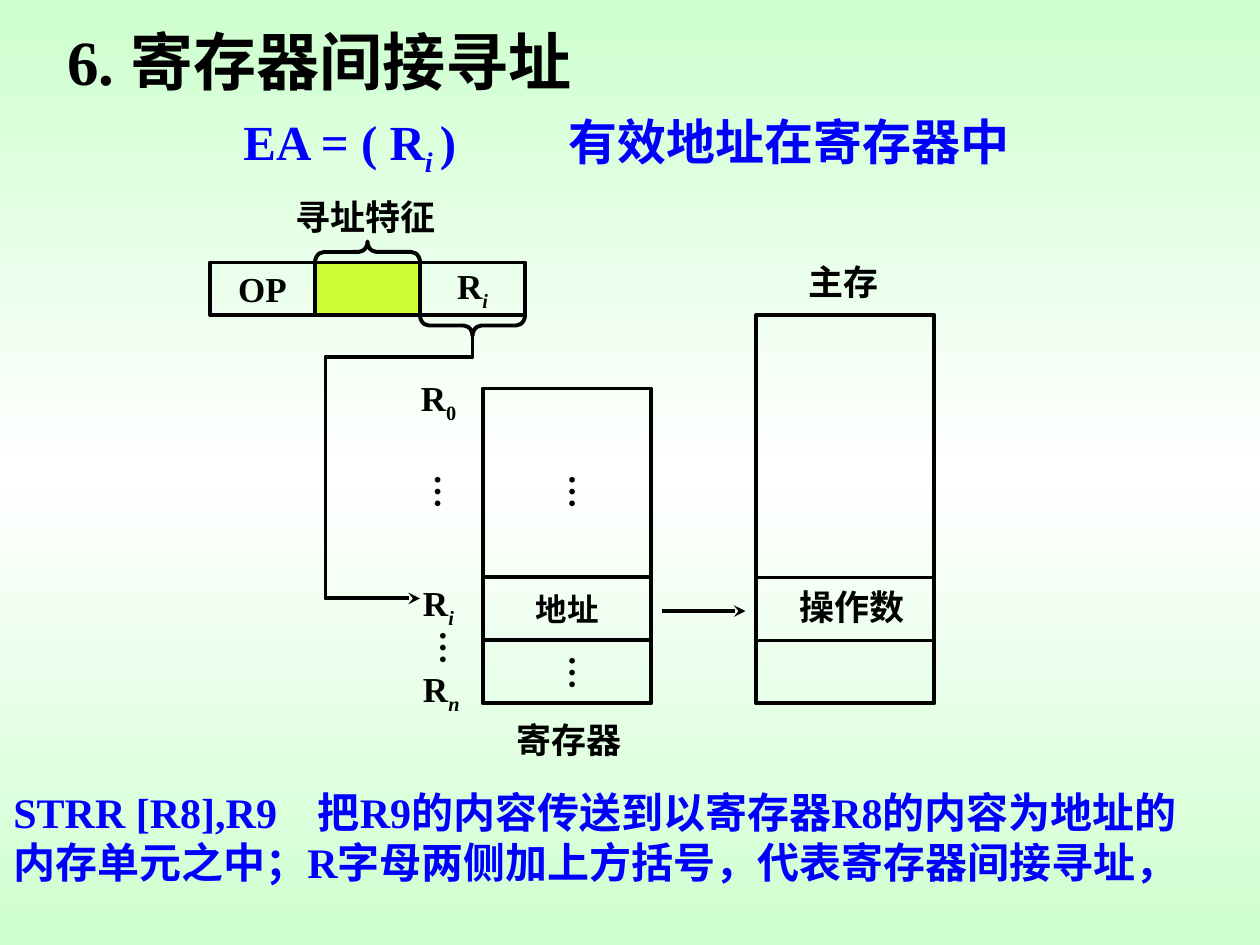
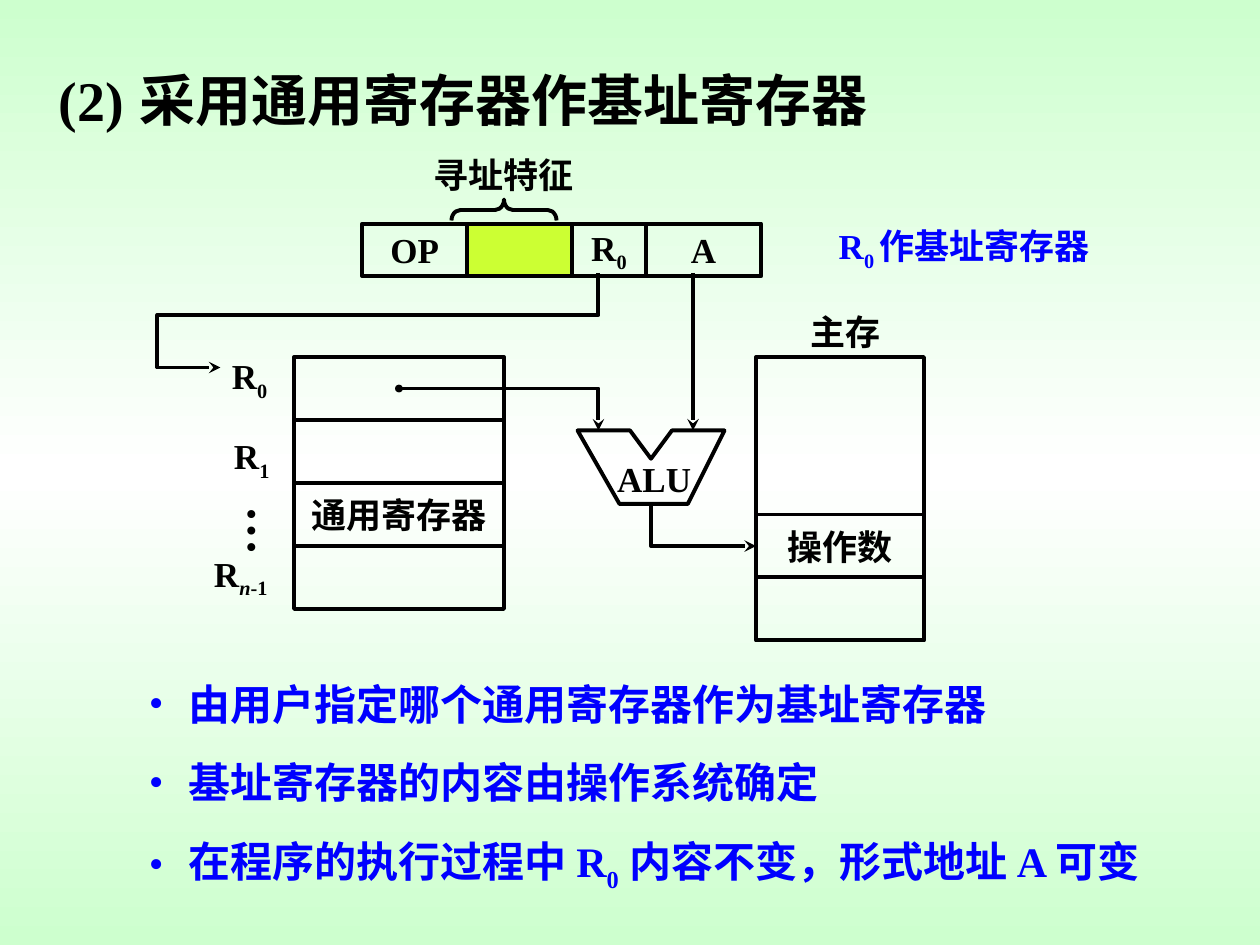
from copy import deepcopy
from dataclasses import dataclass
from typing import NamedTuple, Optional, Sequence, Union

from lxml import etree
from pptx import Presentation
from pptx import util as u
from pptx.dml.color import RGBColor
from pptx.enum import shapes, text
from pptx.oxml.ns import qn

PX = u.Inches(1) // 120  # one px is 1/120 inch
SLIDE_SIZE = (1200, 900)


# Theme
@dataclass(frozen=True)
class Theme:
    font: str = "Times New Roman"
    ink: str = "000000"
    accent: str = "0000FF"
    mark: str = "CCFF33"
    edge: str = "CDFFCE"
    middle: str = "FFFFFF"
    title: int = 36
    subtitle: int = 32
    formula: int = 28
    body: int = 24
    label: int = 20
    small: int = 18
    line: float = 2.25


THEME = Theme()


# Content types
class Run(NamedTuple):
    text: str
    sub: bool = False
    italic: bool = False
    size: Optional[int] = None


Line = Sequence[Union[str, Run]]


class Box(NamedTuple):
    x: int
    y: int
    w: int
    h: int

    def emu(self) -> list[int]:
        return [v * PX for v in self]


class Cell(NamedTuple):
    length: int
    line: Line = ()
    fill: Optional[str] = None
    size: int = THEME.label


@dataclass(frozen=True)
class Label:
    box: Box
    line: Line
    size: int = THEME.label
    color: str = THEME.ink


class Route(NamedTuple):
    points: Sequence[tuple[int, int]]
    head: Optional[str] = None
    tail: Optional[str] = "stealth"
    closed: bool = False


def indexed(name: str, index: str, italic: bool = False) -> Line:
    return name, Run(index, sub=True, italic=italic)


# Text
def write(shape, lines: Sequence[Line], *, size: int = THEME.label, color: str = THEME.ink,
          center: bool = False, middle: bool = False, wrap: bool = True, grow: bool = True,
          vertical: bool = False, bullet: int = 0, tab: int = 0) -> None:
    frame = shape.text_frame
    frame.word_wrap = wrap
    frame.auto_size = text.MSO_AUTO_SIZE.SHAPE_TO_FIT_TEXT if grow else text.MSO_AUTO_SIZE.NONE
    frame.vertical_anchor = text.MSO_ANCHOR.MIDDLE if middle else text.MSO_ANCHOR.TOP
    across, down = (6, 12) if vertical else (12, 6)
    frame.margin_left = frame.margin_right = across * PX
    frame.margin_top = frame.margin_bottom = down * PX
    if vertical:
        shape.element.txBody.bodyPr.set("vert", "eaVert")
    for i, line in enumerate(lines):
        paragraph = frame.add_paragraph() if i else frame.paragraphs[0]
        paragraph.alignment = text.PP_ALIGN.CENTER if center else text.PP_ALIGN.LEFT
        props = paragraph._p.get_or_add_pPr()
        if bullet:
            props.set("marL", str(bullet * PX))
            props.set("indent", str(-bullet * PX))
            tint = etree.SubElement(props, qn("a:buClr"))
            etree.SubElement(tint, qn("a:srgbClr"), val=color)
            etree.SubElement(props, qn("a:buFont"), typeface=THEME.font)
            etree.SubElement(props, qn("a:buChar"), char="•")
        if tab:
            stops = etree.SubElement(props, qn("a:tabLst"))
            etree.SubElement(stops, qn("a:tab"), pos=str(tab * PX), algn="l")
        for part in line:
            piece = Run(part) if isinstance(part, str) else part
            run = paragraph.add_run()
            run.text = piece.text
            font = run.font
            font.name, font.bold, font.italic = THEME.font, True, piece.italic
            font.size = u.Pt(piece.size or size)
            font.color.rgb = RGBColor.from_string(color)
            if piece.sub:
                run._r.get_or_add_rPr().set("baseline", "-25000")


def add_text(slide, box: Box, *lines: Line, **style) -> None:
    write(slide.shapes.add_textbox(*box.emu()), lines, **style)


def add_labels(slide, labels: Sequence[Label]) -> None:
    for label in labels:
        add_text(slide, label.box, label.line, size=label.size, color=label.color)


# Shapes and lines
def outline(item, head: Optional[str] = None, tail: Optional[str] = None) -> None:
    item.line.color.rgb = RGBColor.from_string(THEME.ink)
    item.line.width = u.Pt(THEME.line)
    stroke = item.element.spPr.find(qn("a:ln"))
    if head:
        etree.SubElement(stroke, qn("a:headEnd"), type=head, w="sm", len="sm")
    if tail:
        etree.SubElement(stroke, qn("a:tailEnd"), type=tail)


def style(shape, fill: Optional[str] = None, **ends) -> None:
    shape.shadow.inherit = False
    if fill:
        shape.fill.solid()
        shape.fill.fore_color.rgb = RGBColor.from_string(fill)
    else:
        shape.fill.background()
    outline(shape, **ends)


def add_cells(slide, x: int, y: int, thickness: int, cells: Sequence[Cell],
              stacked: bool = False) -> list:
    """Lay cells edge to edge, in a row or stacked in a column."""
    drawn = []
    for cell in cells:
        box = Box(x, y, thickness, cell.length) if stacked else Box(x, y, cell.length, thickness)
        shape = slide.shapes.add_shape(shapes.MSO_SHAPE.RECTANGLE, *box.emu())
        style(shape, cell.fill)
        if cell.line:
            write(shape, [cell.line], size=cell.size, center=True, middle=True,
                  wrap=False, grow=False)
        drawn.append(shape)
        x, y = (x, y + cell.length) if stacked else (x + cell.length, y)
    return drawn


def add_brace(slide, area: Box, rotation: int) -> None:
    """Turn a left brace so that it spans the wide area."""
    shift = (area.w - area.h) // 2
    upright = Box(area.x + shift, area.y - shift, area.h, area.w)
    brace = slide.shapes.add_shape(shapes.MSO_SHAPE.LEFT_BRACE, *upright.emu())
    brace.adjustments[0] = 0.42
    brace.rotation = rotation
    style(brace)


def add_route(slide, route: Route) -> None:
    builder = slide.shapes.build_freeform(*route.points[0], scale=PX)
    builder.add_line_segments(route.points[1:], close=route.closed)
    style(builder.convert_to_shape(), head=route.head, tail=route.tail)


def add_line(slide, start: tuple[int, int], end: tuple[int, int], tail: Optional[str] = None):
    line = slide.shapes.add_connector(shapes.MSO_CONNECTOR.STRAIGHT,
                                      *(v * PX for v in (*start, *end)))
    outline(line, tail=tail)
    etree.SubElement(line.element.spPr, qn("a:effectLst"))
    return line


# Shared slide base
def new_slide(deck):
    slide = deck.slides.add_slide(deck.slide_layouts[6])
    fill = slide.background.fill
    fill.gradient()
    fill.gradient_angle = 90
    stops = slide.element.find(".//" + qn("a:gsLst"))
    stops.insert(1, deepcopy(stops[0]))
    for stop, place, color in zip(fill.gradient_stops, (0, 0.5, 1),
                                  (THEME.edge, THEME.middle, THEME.edge)):
        stop.position = place
        stop.color.rgb = RGBColor.from_string(color)
    return slide


def register_indirect(deck) -> None:
    slide = new_slide(deck)
    add_text(slide, Box(52, 16, 560, 84), ["6. 寄存器间接寻址"], size=THEME.title)

    # Main memory
    add_cells(slide, 720, 300, 170, [Cell(370)], stacked=True)
    for y in (550, 610):
        add_line(slide, (720, y), (890, y))
    add_line(slide, (630, 582), (710, 582), tail="stealth")

    # Instruction format
    add_cells(slide, 200, 250, 50, [Cell(100, ["OP"]), Cell(100, fill=THEME.mark),
                                    Cell(100, indexed("R", "i", True))])
    add_brace(slide, Box(300, 230, 100, 20), 90)
    add_brace(slide, Box(400, 300, 100, 20), 270)
    add_route(slide, Route([(450, 320), (450, 340), (310, 340), (310, 570), (400, 570)]))

    # Registers
    add_cells(slide, 460, 370, 160, [Cell(180), Cell(60, ["地址"], size=THEME.small), Cell(60)],
              stacked=True)
    for x, y in ((518, 440), (518, 612), (390, 440), (395, 589)):
        add_text(slide, Box(x, y, 64, 46), ["…"], wrap=False, vertical=True)

    add_labels(slide, [
        Label(Box(220, 100, 260, 76), ["EA = ( R", Run("i ", True, True), ")"],
              THEME.formula, THEME.accent),
        Label(Box(530, 100, 450, 68), ["有效地址在寄存器中"], THEME.formula, THEME.accent),
        Label(Box(270, 180, 235, 53), ["寻址特征"]),
        Label(Box(758, 242, 110, 53), ["主存"]),
        Label(Box(750, 552, 140, 53), ["操作数"]),
        Label(Box(389, 353, 70, 58), indexed("R", "0")),
        Label(Box(391, 548, 68, 58), indexed("R", "i", True)),
        Label(Box(391, 630, 68, 58), indexed("R", "n", True)),
        Label(Box(480, 678, 170, 53), ["寄存器"]),
    ])
    add_text(slide, Box(1, 743, 1195, 108),
             ["STRR [R8],R9\t把R9的内容传送到以寄存器R8的内容为地址的"],
             ["内存单元之中；R字母两侧加上方括号，代表寄存器间接寻址，"],
             size=THEME.body, color=THEME.accent, middle=True, tab=290)


def base_register(deck) -> None:
    slide = new_slide(deck)
    add_text(slide, Box(44, 50, 860, 84),
             ["(2)", Run(" ", size=THEME.title), "采用通用寄存器作基址寄存器"], size=THEME.subtitle)

    # Main memory and instruction format
    add_cells(slide, 720, 340, 160, [Cell(150), Cell(60, ["操作数"]), Cell(60)], stacked=True)
    add_cells(slide, 345, 213, 50, [Cell(100, ["OP"]), Cell(100, fill=THEME.mark),
                                    Cell(70, indexed("R", "0")), Cell(110, ["A"])])
    add_brace(slide, Box(430, 190, 100, 20), 90)

    # General registers
    upper, *_ = add_cells(slide, 280, 340, 200, [Cell(120), Cell(60, ["通用寄存器"]), Cell(60)],
                          stacked=True)
    divider = add_line(slide, (280, 400), (480, 400))
    divider.begin_connect(upper, 1)
    divider.end_connect(upper, 3)

    # ALU and data paths
    alu = [(550, 410), (600, 410), (620, 437), (640, 410), (690, 410), (655, 480), (590, 480)]
    for route in (
        Route(alu, tail=None, closed=True),
        Route([(570, 260), (570, 300), (150, 300), (150, 350), (210, 350)]),
        Route([(380, 370), (570, 370), (570, 410)], head="oval"),
        Route([(620, 480), (620, 520), (720, 520)]),
    ):
        add_route(slide, route)
    add_line(slide, (660, 260), (660, 410), tail="stealth")

    add_labels(slide, [
        Label(Box(401, 140, 190, 53), ["寻址特征"]),
        Label(Box(760, 290, 110, 53), ["主存"]),
        Label(Box(576, 430, 110, 53), ["ALU"]),
        Label(Box(787, 208, 310, 58), ["R", Run("0 ", True), "作基址寄存器"], color=THEME.accent),
        Label(Box(209, 332, 70, 58), indexed("R", "0")),
        Label(Box(211, 408, 68, 58), indexed("R", "1")),
        Label(Box(192, 520, 86, 58), ["R", Run("n", True, True), Run("-1", True)]),
    ])
    add_text(slide, Box(210, 470, 79, 70), ["…"], size=THEME.formula, vertical=True)

    # Conclusions
    points = (["由用户指定哪个通用寄存器作为基址寄存器"],
              ["基址寄存器的内容由操作系统确定"],
              ["在程序的执行过程中 R", Run("0", True), " 内容不变，形式地址 A 可变"])
    for i, point in enumerate(points):
        add_text(slide, Box(130, 640 + 75 * i, 1000, 60), point, size=THEME.body,
                 color=THEME.accent, bullet=38)


def main() -> None:
    deck = Presentation()
    deck.slide_width, deck.slide_height = (v * PX for v in SLIDE_SIZE)
    register_indirect(deck)
    base_register(deck)
    deck.save("out.pptx")


if __name__ == "__main__":
    main()
